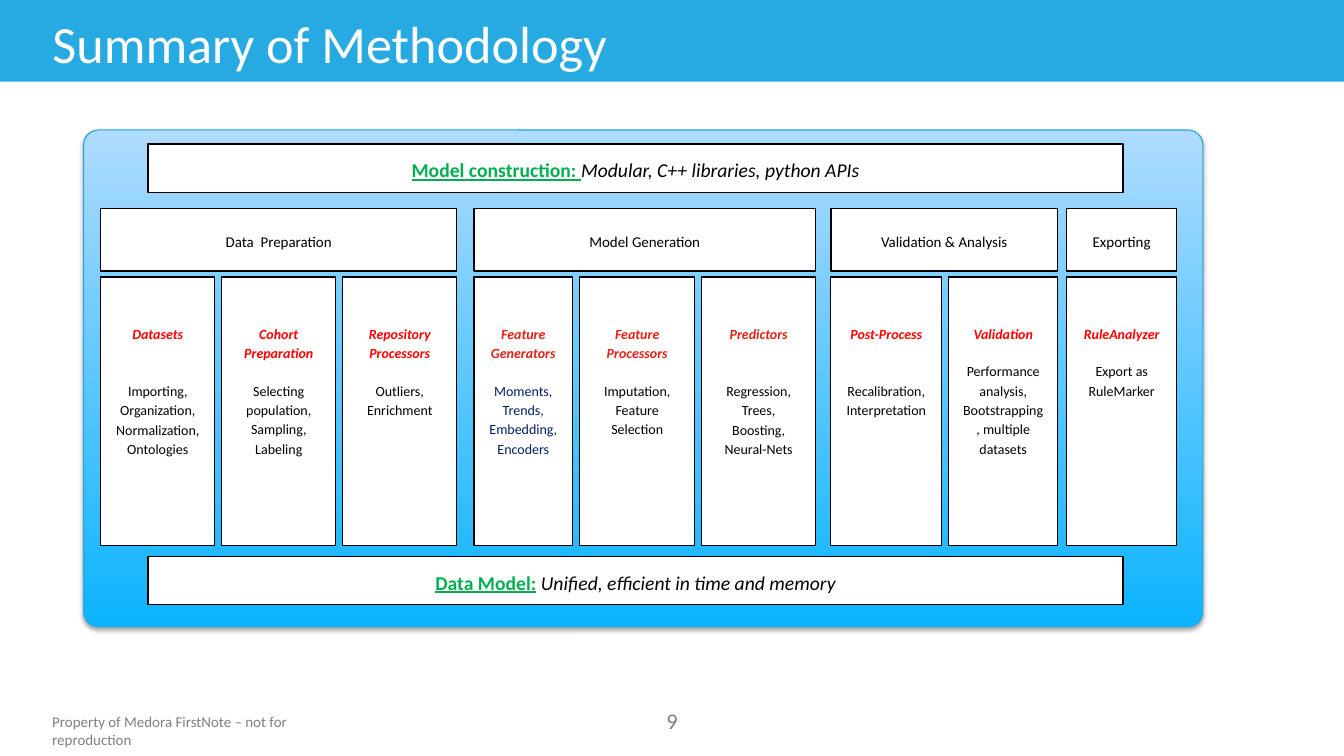
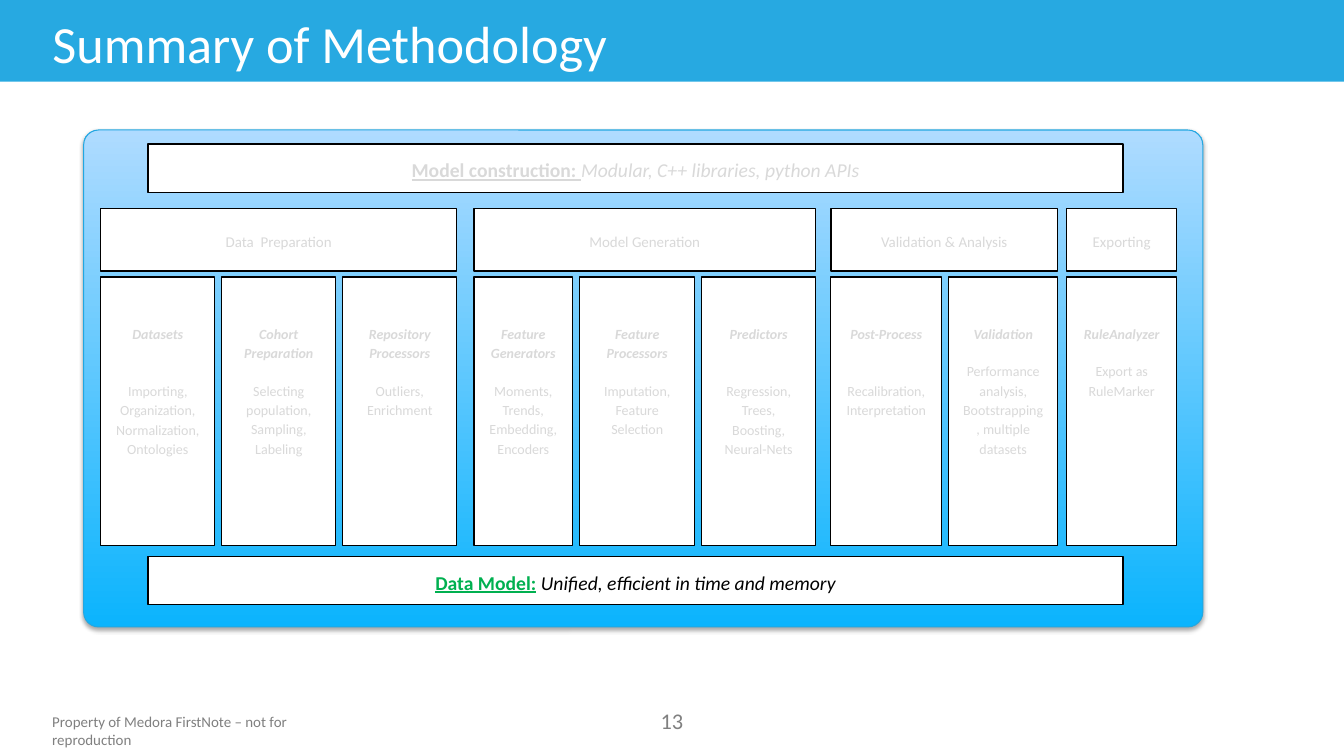
from lxml.etree import SubElement
from pptx import Presentation
from pptx.dml.color import RGBColor
from pptx.enum.shapes import MSO_SHAPE as Shape
from pptx.enum.text import MSO_ANCHOR as Anchor, PP_ALIGN as Align
from pptx.oxml.ns import qn
from pptx.util import Pt

PX = 9144
FONT = "Calibri"
BAND_BLUE = RGBColor(0x27, 0xA9, 0xE1)
PANEL_LIGHT = RGBColor(0xAF, 0xDB, 0xFF)
PANEL_DEEP = RGBColor(0x0B, 0xB4, 0xFD)
PANEL_EDGE = RGBColor(0x22, 0xA7, 0xE1)
WHITE = RGBColor(0xFF, 0xFF, 0xFF)
BLACK = RGBColor(0x00, 0x00, 0x00)
GREY = RGBColor(0x80, 0x80, 0x80)
DIMMED = RGBColor(0xD9, 0xD9, 0xD9)
GREEN = RGBColor(0x00, 0xB0, 0x50)
RED = RGBColor(0xFF, 0x00, 0x00)
BRICK = RGBColor(0xE4, 0x20, 0x17)
NAVY = RGBColor(0x00, 0x20, 0x60)

COLUMN_GAP = 7
HEADER_TOP, HEADER_HEIGHT = 207, 62
COLUMN_TOP, COLUMN_HEIGHT = 275, 266
SHORT_GAP, LONG_GAP = 13.3, 27.3

BARS = [
    (143, "Model construction: ", "Modular, C++ libraries, python APIs"),
    (552, "Data Model:", " Unified, efficient in time and memory"),
]
STAGES = [
    ("Data  Preparation", 100, RED, [
        (113, "Datasets", LONG_GAP, "Importing, Organization, Normalization, Ontologies", BLACK),
        (113, "Cohort Preparation", SHORT_GAP, "Selecting population, Sampling, Labeling", BLACK),
        (113, "Repository Processors", SHORT_GAP, "Outliers, Enrichment", BLACK),
    ]),
    ("Model Generation", 470, BRICK, [
        (98, "Feature Generators", SHORT_GAP, "Moments, Trends, Embedding, Encoders", NAVY),
        (114, "Feature Processors", SHORT_GAP, "Imputation, Feature Selection", BLACK),
        (113, "Predictors", LONG_GAP, "Regression, Trees, Boosting, Neural-Nets", BLACK),
    ]),
    ("Validation & Analysis", 824, RED, [
        (110, "Post-Process", LONG_GAP, "Recalibration, Interpretation", BLACK),
        (108, "Validation", SHORT_GAP, "Performance analysis, Bootstrapping, multiple datasets", BLACK),
    ]),
    ("Exporting", 1058, RED, [
        (109, "RuleAnalyzer", SHORT_GAP, "Export as RuleMarker", BLACK),
    ]),
]
SLIDES = [
    ("9", {"Model construction: ", "Data Model:", "stages"}),
    ("13", {"Data Model:"}),
]


def set_font(font, size, color, bold=False, italic=False, underline=False):
    font.name = FONT
    font.size = Pt(size)
    font.color.rgb = color
    font.bold, font.italic, font.underline = bold, italic, underline


def add_box(slide, left, top, width, height, inset_top=7, anchor=Anchor.MIDDLE):
    box = slide.shapes.add_shape(Shape.RECTANGLE, left * PX, top * PX, width * PX, height * PX)
    box.shadow.inherit = False
    box.fill.solid()
    box.fill.fore_color.rgb = WHITE
    box.line.color.rgb = BLACK
    box.line.width = Pt(1)
    frame = box.text_frame
    frame.word_wrap = True
    frame.vertical_anchor = anchor
    frame.margin_left = frame.margin_right = 13 * PX
    frame.margin_top, frame.margin_bottom = inset_top * PX, 7 * PX
    paragraph = frame.paragraphs[0]
    paragraph.alignment = Align.CENTER
    paragraph.line_spacing = 1.15
    return frame


deck = Presentation()
deck.slide_width, deck.slide_height = 1333 * PX, 750 * PX
layout = deck.slide_layouts[5]
layout_title = layout.placeholders[0]
layout_title.left, layout_title.top = 42 * PX, 6 * PX
layout_title.width, layout_title.height = 1110 * PX, 73 * PX

slides = [deck.slides.add_slide(layout) for _ in SLIDES]

band = slides[0].shapes.add_shape(Shape.RECTANGLE, 0, 0, 1333 * PX, 81 * PX)
band.shadow.inherit = False
band.fill.solid()
band.fill.fore_color.rgb = BAND_BLUE
band.line.fill.background()
footer = slides[0].shapes.add_textbox(42 * PX, 702 * PX, 333 * PX, 28 * PX)
footer.text_frame.text = "Property of Medora FirstNote – not for reproduction"
set_font(footer.text_frame.paragraphs[0].font, 10.7, GREY)
for position, shared in enumerate((band, footer), start=2):
    layout.shapes.element.insert(position, shared.element)

for slide, (page, highlighted) in zip(slides, SLIDES):
    title = slide.shapes.title.text_frame
    title.text = "Summary of Methodology"
    title.vertical_anchor = Anchor.MIDDLE
    title.paragraphs[0].alignment = Align.LEFT
    set_font(title.paragraphs[0].font, 37.3, WHITE)

    number = slide.shapes.add_textbox(626 * PX, 697 * PX, 81 * PX, 37 * PX).text_frame
    number.word_wrap = True
    number.text = page
    number.paragraphs[0].alignment = Align.CENTER
    set_font(number.paragraphs[0].font, 16, GREY)

    panel = slide.shapes.add_shape(Shape.ROUNDED_RECTANGLE, 83 * PX, 129 * PX, 1110 * PX, 493 * PX)
    panel.adjustments[0] = 0.03
    panel.fill.gradient()
    panel.fill.gradient_angle = 90
    for stop, color in zip(panel.fill.gradient_stops, (PANEL_DEEP, PANEL_LIGHT)):
        stop.color.rgb = color
    panel.line.color.rgb = PANEL_EDGE
    panel.line.width = Pt(0.75)
    panel.shadow.inherit = False
    effects = panel.element.spPr.find(qn("a:effectLst"))
    shadow = SubElement(effects, qn("a:outerShdw"), blurRad=str(Pt(3.1)), dist=str(Pt(1.8)),
                        dir="5400000", rotWithShape="0")
    shadow_color = SubElement(shadow, qn("a:srgbClr"), val=str(BLACK))
    SubElement(shadow_color, qn("a:alpha"), val="35000")

    for top, label, detail in BARS:
        lit = label in highlighted
        bar = add_box(slide, 147, top, 967, 48).paragraphs[0]
        label_run, detail_run = bar.add_run(), bar.add_run()
        label_run.text, detail_run.text = label, detail
        set_font(label_run.font, 14, GREEN if lit else DIMMED, bold=True, underline=True)
        set_font(detail_run.font, 14, BLACK if lit else DIMMED, italic=True)

    lit = "stages" in highlighted
    for stage, left, heading_color, columns in STAGES:
        stage_width = sum(column[0] for column in columns) + COLUMN_GAP * (len(columns) - 1)
        header = add_box(slide, left, HEADER_TOP, stage_width, HEADER_HEIGHT).paragraphs[0]
        header.text = stage
        set_font(header.font, 10.7, BLACK if lit else DIMMED)

        for width, name, gap, steps, steps_color in columns:
            column = add_box(slide, left, COLUMN_TOP, width, COLUMN_HEIGHT, 45, Anchor.TOP)
            heading, body = column.paragraphs[0], column.add_paragraph()
            heading.text, body.text = name, steps
            heading.space_after = Pt(gap)
            body.alignment = Align.CENTER
            body.line_spacing = 1.15
            set_font(heading.font, 10, heading_color if lit else DIMMED, bold=True, italic=True)
            set_font(body.font, 10, steps_color if lit else DIMMED)
            left += width + COLUMN_GAP

deck.save("out.pptx")
